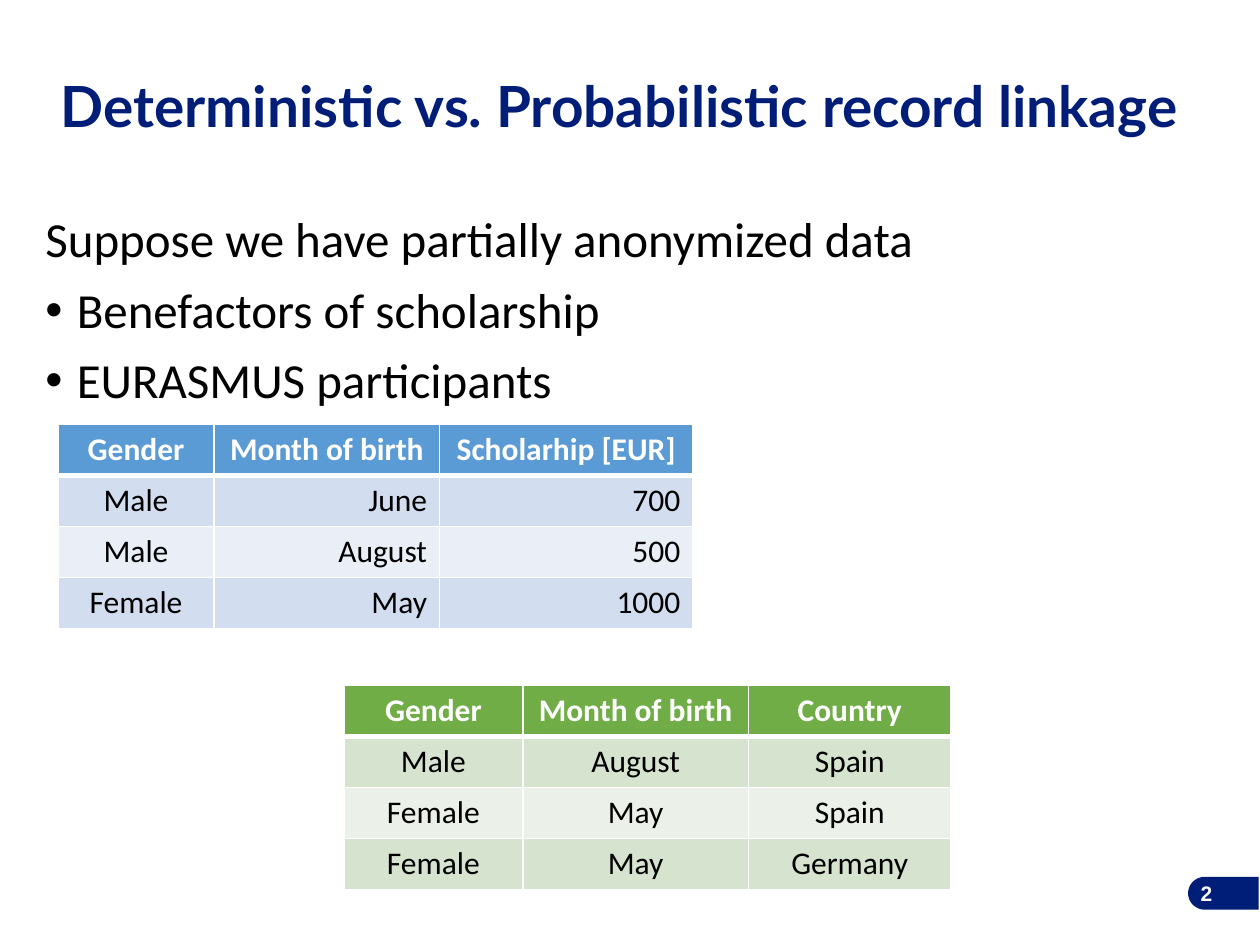
from math import cos, pi, sin

from lxml import etree
from pptx import Presentation
from pptx.dml.color import RGBColor
from pptx.enum.text import MSO_ANCHOR, MSO_AUTO_SIZE, PP_ALIGN as AL
from pptx.oxml.ns import qn
from pptx.util import Inches, Pt

# Content
NAVY, WHITE, BLACK = "001D77", "FFFFFF", "000000"
TITLE = "Deterministic vs. Probabilistic record linkage"
BODY = [  # text, bulleted
    ("Suppose we have partially anonymized data", False),
    ("Benefactors of scholarship", True),
    ("EURASMUS participants", True),
]
PAGE = "2"
TABLES = [
    {
        "at": (0.46, 3.37), "cols": (1.24, 1.79, 2.01),
        "fills": ("5B9BD5", "D2DEEF", "EAEFF7"),
        "align": (AL.CENTER, AL.RIGHT, AL.RIGHT),
        "rows": [
            ("Gender", "Month of birth", "Scholarhip [EUR]"),
            ("Male", "June", "700"),
            ("Male", "August", "500"),
            ("Female", "May", "1000"),
        ],
    },
    {
        "at": (2.73, 5.44), "cols": (1.42, 1.79, 1.61),
        "fills": ("70AD47", "D5E3CF", "EBF1E9"),
        "align": (AL.CENTER,) * 3,
        "rows": [
            ("Gender", "Month of birth", "Country"),
            ("Male", "August", "Spain"),
            ("Female", "May", "Spain"),
            ("Female", "May", "Germany"),
        ],
    },
]
ROW_H = 1.62 / 4


def rgb(color):
    return RGBColor.from_string(color)


def place(sp, *box):
    sp.left, sp.top, sp.width, sp.height = map(Inches, box)


def add_run(p, text, size, font, color, bold=False):
    r = p.add_run()
    r.text = text
    r.font.size, r.font.name, r.font.bold = Pt(size), font, bold
    r.font.color.rgb = rgb(color)


def set_bullet(p, bulleted):
    pPr = p._p.get_or_add_pPr()
    pPr.set("marL", str(Inches(0.25 if bulleted else 0)))
    pPr.set("indent", str(Inches(-0.25 if bulleted else 0)))
    if bulleted:
        etree.SubElement(pPr, qn("a:buFont"), typeface="Arial")
        etree.SubElement(pPr, qn("a:buChar"), char="•")
    else:
        etree.SubElement(pPr, qn("a:buNone"))


def set_borders(cell, widths):
    tcPr = cell._tc.get_or_add_tcPr()
    for i, (side, width) in enumerate(widths.items()):
        ln = etree.Element(qn("a:ln" + side), w=str(Pt(width)))
        fill = etree.SubElement(ln, qn("a:solidFill"))
        etree.SubElement(fill, qn("a:srgbClr"), val=WHITE)
        tcPr.insert(i, ln)


def add_data_table(s, at, cols, fills, align, rows):
    table = s.shapes.add_table(
        len(rows), len(cols), *map(Inches, (*at, sum(cols), ROW_H * len(rows)))
    ).table
    for column, width in zip(table.columns, cols):
        column.width = Inches(width)
    for i, row in enumerate(rows):
        header = i == 0
        table.rows[i].height = Inches(ROW_H)
        for j, text in enumerate(row):
            cell = table.cell(i, j)
            cell.fill.solid()
            cell.fill.fore_color.rgb = rgb(fills[0] if header else fills[2 - i % 2])
            set_borders(cell, {"L": 1, "R": 1, "T": 3 if i == 1 else 1,
                               "B": 3 if header else 1})
            p = cell.text_frame.paragraphs[0]
            p.alignment = AL.CENTER if header else align[j]
            add_run(p, text, 18, "Calibri", WHITE if header else BLACK, header)


prs = Presentation()
prs.slide_width, prs.slide_height = Inches(10), Inches(7.5)
s = prs.slides.add_slide(prs.slide_layouts[1])

# Title, lifted by a trailing line break
title, body = s.placeholders
place(title, 0.38, 0.78, 9.36, 0.91)
tf = title.text_frame
tf.auto_size, tf.vertical_anchor = MSO_AUTO_SIZE.NONE, MSO_ANCHOR.MIDDLE
p = tf.paragraphs[0]
p.alignment, p.line_spacing = AL.LEFT, 0.9
add_run(p, TITLE, 32.4, "Lato", NAVY, True)
p.add_line_break()

# Introduction and list
place(body, 0.26, 1.66, 9.28, 1.79)
tf = body.text_frame
tf.auto_size = MSO_AUTO_SIZE.NONE
for i, (text, bulleted) in enumerate(BODY):
    p = tf.add_paragraph() if i else tf.paragraphs[0]
    p.line_spacing, p.space_before = 0.9, Pt(10)
    set_bullet(p, bulleted)
    add_run(p, text, 28, "Calibri", BLACK)

# Page number tab, rounded on the left
left, top, right, radius = 9.43, 6.96, 9.99, 0.13
arc = [(left + radius - radius * sin(pi * k / 24),
        top + radius - radius * cos(pi * k / 24)) for k in range(25)]
outline = [(right, top), *arc, (right, top + 2 * radius)]
points = [(Inches(x), Inches(y)) for x, y in outline]
builder = s.shapes.build_freeform(*points[0])
builder.add_line_segments(points[1:], close=True)
tab = builder.convert_to_shape()
tab.shadow.inherit = False
tab.fill.solid()
tab.fill.fore_color.rgb = rgb(NAVY)
tab.line.fill.background()

tf = s.shapes.add_textbox(*map(Inches, (7.47, 6.89, 2.25, 0.4))).text_frame
tf.word_wrap, tf.vertical_anchor = True, MSO_ANCHOR.MIDDLE
p = tf.paragraphs[0]
p.alignment = AL.RIGHT
add_run(p, PAGE, 12, "Arial", WHITE, True)

# Data tables
for data in TABLES:
    add_data_table(s, **data)

prs.save("out.pptx")
